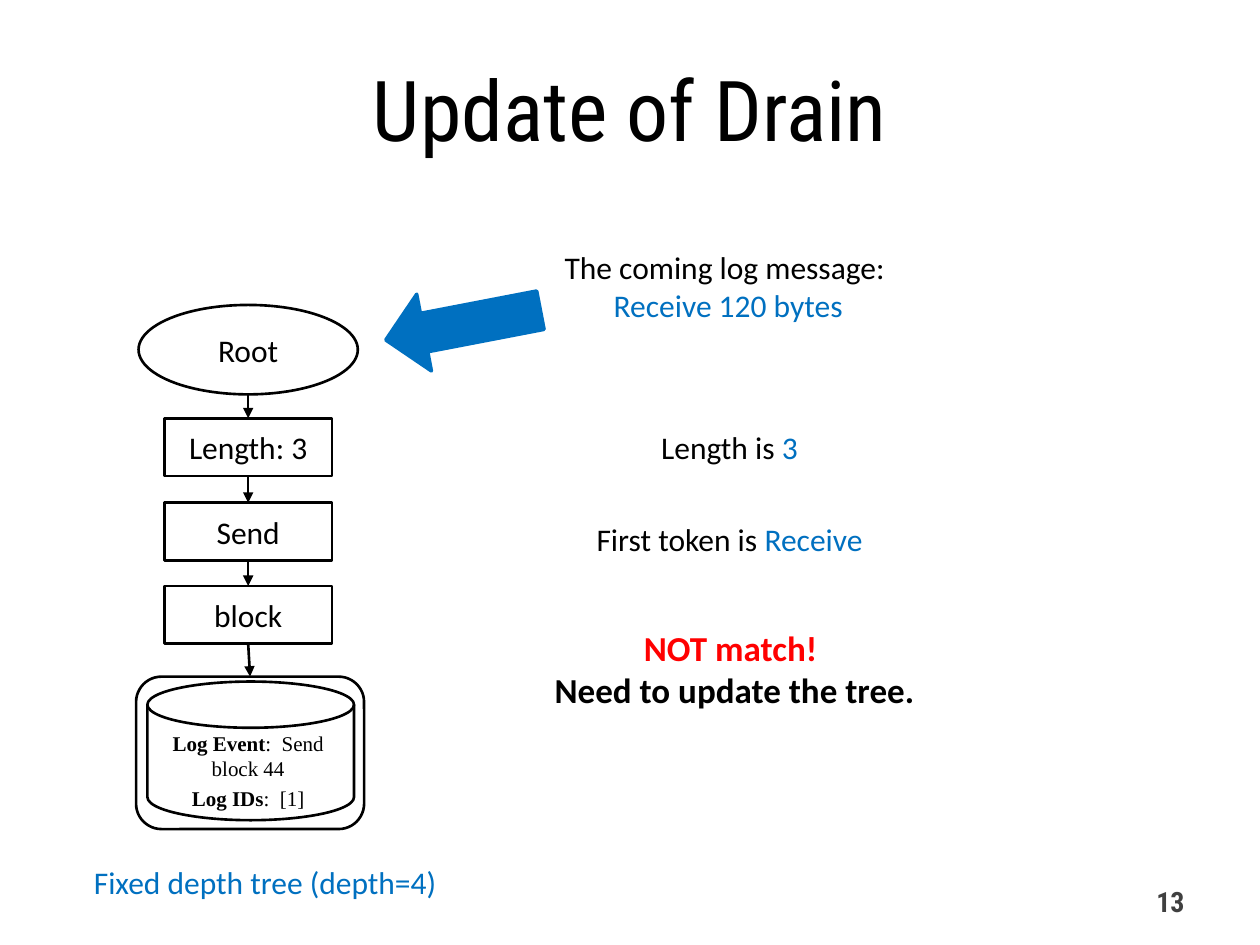
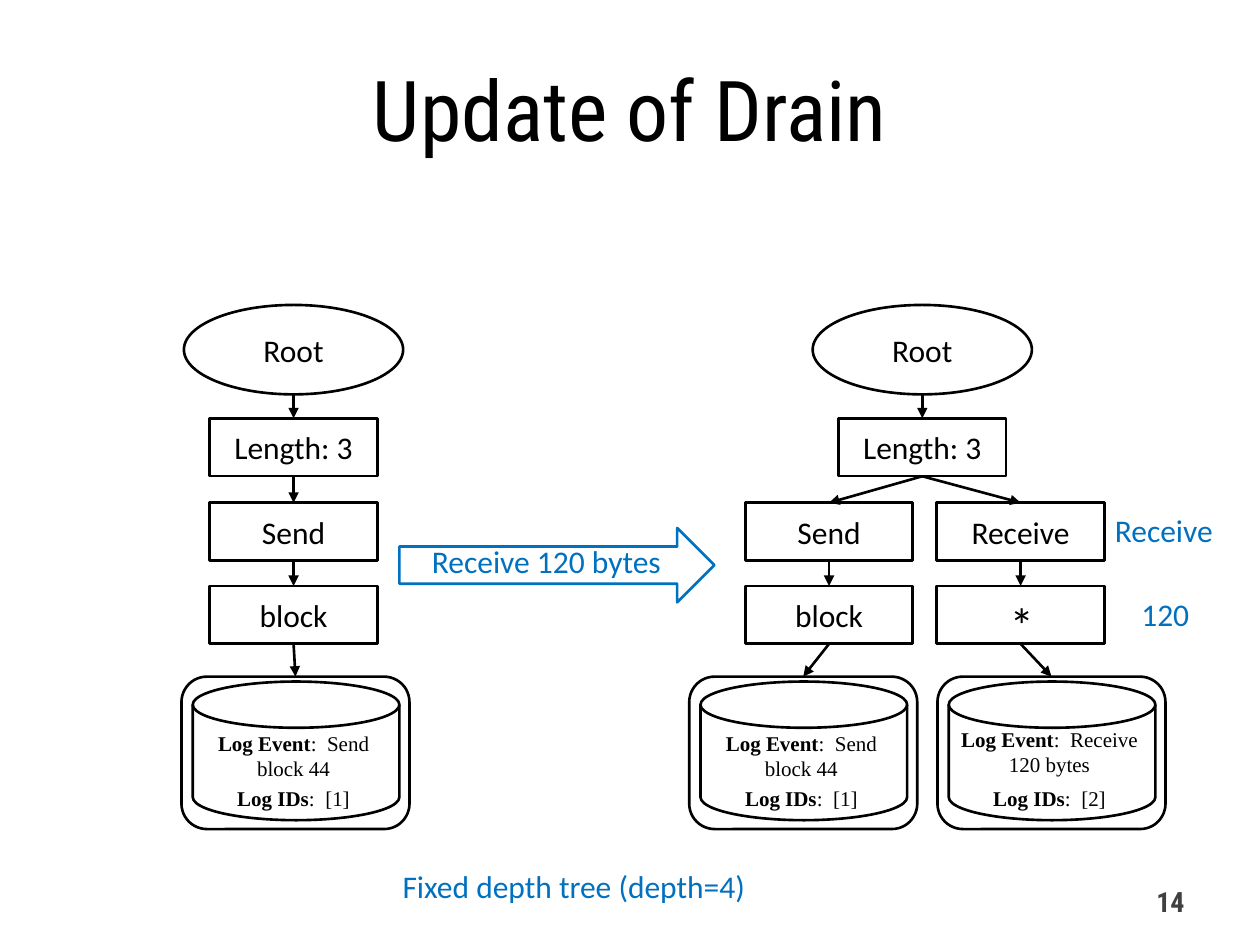
from dataclasses import dataclass

from lxml import etree
from pptx import Presentation
from pptx.dml.color import RGBColor
from pptx.enum.shapes import MSO_CONNECTOR, MSO_SHAPE
from pptx.enum.text import MSO_ANCHOR, PP_ALIGN
from pptx.oxml.ns import qn
from pptx.util import Inches, Pt

ELLIPSE, RECTANGLE = MSO_SHAPE.OVAL, MSO_SHAPE.RECTANGLE
ROUNDED, DISK = MSO_SHAPE.ROUNDED_RECTANGLE, MSO_SHAPE.FLOWCHART_MAGNETIC_DISK
LEFT_ARROW, RIGHT_ARROW = MSO_SHAPE.LEFT_ARROW, MSO_SHAPE.RIGHT_ARROW
STRAIGHT = MSO_CONNECTOR.STRAIGHT
LEFT, CENTER, RIGHT = PP_ALIGN.LEFT, PP_ALIGN.CENTER, PP_ALIGN.RIGHT
TOP, MIDDLE = MSO_ANCHOR.TOP, MSO_ANCHOR.MIDDLE
TOP_SITE, BOTTOM_SITE = 0, 2

COLORS = {"ink": "000000", "blue": "0070C0", "red": "FF0000", "number": "404040"}
BODY = {"name": "Calibri", "size": Pt(18), "bold": False, "color": "ink"}
BLUE = {**BODY, "color": "blue"}
TITLE = {**BODY, "name": "Roboto Condensed", "size": Pt(48)}
NUMBER = {**TITLE, "size": Pt(16), "bold": True, "color": "number"}
LOG = {**BODY, "name": "Times New Roman", "size": Pt(12)}
VERDICT = {**BODY, "size": Pt(20), "bold": True}

ROOT_SIZE = (1.74, 0.71)
NODE_SIZE = (1.33, 0.46)
LEAF_SIZE = (1.81, 1.21)
NODE_TOPS = (0.9, 1.57, 2.23)
LEAF_TOP = 2.95


@dataclass
class Branch:
    """A path below the length node, measured from the left of its tree."""
    center: float
    tokens: tuple
    leaf_left: float
    event: str
    identifier: str
    event_top: float = 0.46


def rgb(name):
    """Return the named colour."""
    return RGBColor.from_string(COLORS[name])


def write(shape, paragraphs, style=BODY, align=CENTER, anchor=MIDDLE, spacing=None):
    """Fill a shape with paragraphs, each a list of (text, overrides) runs."""
    frame = shape.text_frame
    frame.word_wrap = True
    frame.vertical_anchor = anchor
    for index, runs in enumerate(paragraphs):
        paragraph = frame.add_paragraph() if index else frame.paragraphs[0]
        paragraph.alignment = align
        paragraph.line_spacing = spacing
        for text, overrides in runs:
            run = paragraph.add_run()
            run.text = text
            for key, value in {**style, **overrides}.items():
                if key == "color":
                    run.font.color.rgb = rgb(value)
                else:
                    setattr(run.font, key, value)


def add_text(slide, box, paragraphs, style=BODY, **layout):
    """Add a text box; a plain string stands for a single run."""
    if isinstance(paragraphs, str):
        paragraphs = [[(paragraphs, {})]]
    shape = slide.shapes.add_textbox(*map(Inches, box))
    write(shape, paragraphs, style, **layout)


def add_outline(slide, kind, box, text="", color="ink", fill=None, width=1.5):
    """Add a preset shape with an outline and an optional fill and label."""
    shape = slide.shapes.add_shape(kind, *map(Inches, box))
    shape.shadow.inherit = False
    if fill:
        shape.fill.solid()
        shape.fill.fore_color.rgb = rgb(fill)
    else:
        shape.fill.background()
    shape.line.color.rgb = rgb(color)
    shape.line.width = Pt(width)
    if text:
        write(shape, [[(text, {})]])
    return shape


def add_arrow(slide, parent, child, joined=True):
    """Point from the bottom of the parent to the top of the child."""
    connector = slide.shapes.add_connector(
        STRAIGHT, parent.left + parent.width // 2, parent.top + parent.height,
        child.left + child.width // 2, child.top)
    if joined:
        connector.begin_connect(parent, BOTTOM_SITE)
    connector.end_connect(child, TOP_SITE)
    connector.line.color.rgb = rgb("ink")
    connector.line.width = Pt(1.5)
    properties = connector._element.spPr
    etree.SubElement(properties.find(qn("a:ln")), qn("a:tailEnd"), type="triangle")
    etree.SubElement(properties, qn("a:effectLst"))


def add_leaf(slide, box, branch):
    """Draw a log group: a disk in a rounded frame with its event and IDs."""
    left, top, width, height = box
    frame = add_outline(slide, ROUNDED, box)
    add_outline(slide, DISK, (left + 0.09, top + 0.04, width - 0.17, height - 0.11))
    lines = (("Log Event", branch.event, branch.event_top),
             ("Log IDs", branch.identifier, 0.8))
    for label, value, offset in lines:
        add_text(slide, (left + 0.02, top + offset, width - 0.07, 0.34),
                 [[(label, {"bold": True}), (f":  {value}", {})]], LOG, spacing=Pt(14))
    return frame


def add_tree(slide, origin, trunk, branches):
    """Draw a parse tree from its top left corner and the offset of its trunk."""
    left, top = origin

    def add_node(kind, center, offset, size, text):
        """Place a node centred on a distance from the left of the tree."""
        return add_outline(slide, kind, (left + center - size[0] / 2, top + offset, *size), text)

    root = add_node(ELLIPSE, trunk, 0, ROOT_SIZE, "Root")
    length = add_node(RECTANGLE, trunk, NODE_TOPS[0], NODE_SIZE, "Length: 3")
    add_arrow(slide, root, length, joined=False)
    for branch in branches:
        parent = length
        for offset, token in zip(NODE_TOPS[1:], branch.tokens):
            node = add_node(RECTANGLE, branch.center, offset, NODE_SIZE, token)
            add_arrow(slide, parent, node)
            parent = node
        leaf = add_leaf(slide, (left + branch.leaf_left, top + LEAF_TOP, *LEAF_SIZE), branch)
        add_arrow(slide, parent, leaf)


def add_base(presentation, number, caption_origin):
    """Add a slide with the shared title, page number and tree caption."""
    slide = presentation.slides.add_slide(presentation.slide_layouts[6])
    add_text(slide, (0.5, 0.3, 9, 1.12), "Update of Drain", TITLE)
    add_text(slide, (7.17, 6.95, 2.33, 0.4), str(number), NUMBER, align=RIGHT)
    add_text(slide, (*caption_origin, 3.95, 0.4), "Fixed depth tree (depth=4)", BLUE, anchor=TOP)
    return slide


def add_steps(slide, box):
    """Explain how the incoming message is compared with the tree."""
    left, top, width = box
    blue = {"color": "blue"}
    steps = (
        (0, 0, 0.71, BODY, [[("The coming log message: ", {})], [("Receive 120 bytes", blue)]]),
        (0.01, 1.43, 0.4, BODY, [[("Length is ", {}), ("3", blue)]]),
        (0.01, 2.16, 0.4, BODY, [[("First token is ", {}), ("Receive", blue)]]),
        (0.05, 3, 0.77, VERDICT, [[("NOT match! ", {"color": "red"})],
                                  [("Need to update the tree.", {})]]),
    )
    for indent, offset, height, style, paragraphs in steps:
        add_text(slide, (left + indent, top + offset, width, height), paragraphs, style, anchor=TOP)


def build_mismatch(presentation, send_branch):
    """Show a message that does not match the current tree."""
    slide = add_base(presentation, 13, (0.13, 6.8))
    add_tree(slide, (1.08, 2.42), 0.89, [send_branch])
    add_steps(slide, (4.07, 1.92, 3.42))
    arrow = add_outline(slide, LEFT_ARROW, (3.05, 2.27, 1.25, 0.62),
                        color="blue", fill="blue", width=2)
    arrow.rotation = 349.1


def build_update(presentation, send_branch):
    """Show the tree before and after the new branch is added."""
    slide = add_base(presentation, 14, (2.58, 6.83))
    add_tree(slide, (1.44, 2.42), 0.89, [send_branch])
    add_tree(slide, (5.47, 2.42), 1.85, [
        Branch(1.11, ("Send", "block"), 0, "Send block 44", "[1]"),
        Branch(2.63, ("Receive", ""), 1.97, "Receive 120 bytes", "[2]", 0.43),
    ])
    add_text(slide, (7.84, 4.7, 0.54, 0.5), "*", {**BODY, "size": Pt(28)})
    add_outline(slide, RIGHT_ARROW, (3.17, 4.19, 2.5, 0.59), color="blue")
    labels = (("Receive 120 bytes", (3.33, 4.25, 2.17, 0.4)),
              ("Receive", (8.75, 4.01, 1, 0.4)),
              ("120", (8.96, 4.67, 0.58, 0.4)))
    for text, box in labels:
        add_text(slide, box, text, BLUE, align=LEFT, anchor=TOP)


def main():
    """Build and save the presentation."""
    presentation = Presentation()
    presentation.slide_width, presentation.slide_height = Inches(10), Inches(7.5)
    send_branch = Branch(0.89, ("Send", "block"), 0, "Send block 44", "[1]")
    build_mismatch(presentation, send_branch)
    build_update(presentation, send_branch)
    presentation.save("out.pptx")


if __name__ == "__main__":
    main()
